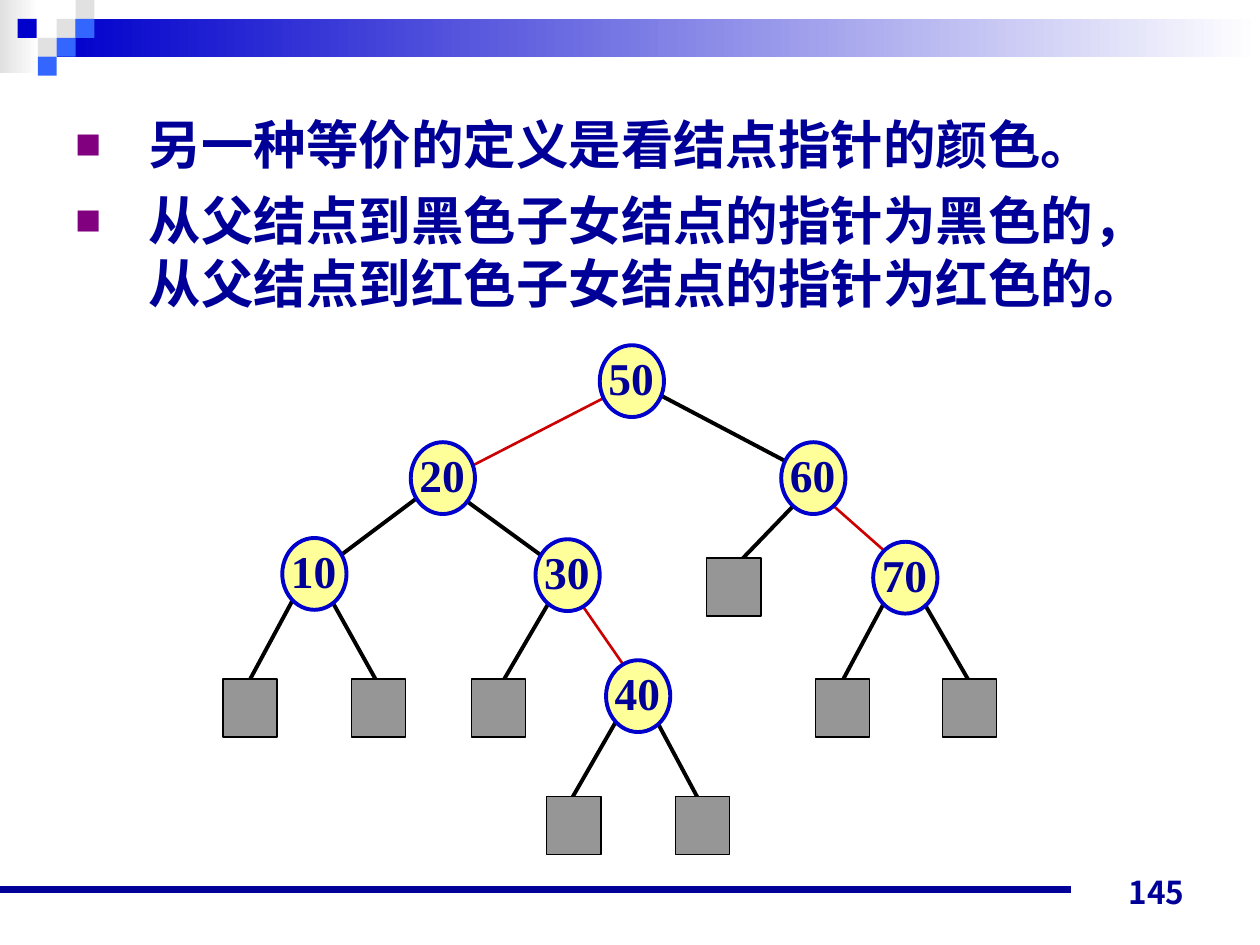
from dataclasses import dataclass

from lxml.etree import SubElement
from pptx import Presentation
from pptx.dml.color import RGBColor as Color
from pptx.enum.shapes import MSO_CONNECTOR as Connector, MSO_SHAPE as Shape
from pptx.enum.text import MSO_ANCHOR as Anchor, MSO_AUTO_SIZE as AutoSize, PP_ALIGN as Align
from pptx.oxml.ns import qn
from pptx.util import Inches, Pt


@dataclass(frozen=True)
class Theme:
    navy: str = "000099"
    blue: str = "0000CC"
    sky: str = "3366FF"
    mist: str = "E1E1E1"
    white: str = "FFFFFF"
    purple: str = "800080"
    yellow: str = "FFFF99"
    gray: str = "969696"
    black: str = "000000"
    red: str = "CC0000"
    serif: str = "Times New Roman"
    sans: str = "Noto Sans CJK JP"
    body_size: float = 30
    node_size: float = 26
    number_size: float = 18


THEME = Theme()
COLUMNS, ROWS = 100, 75
CELL = Inches(10) / COLUMNS
TILE = 1.5
NODE = (5.1, 5.7)
LEAF = (4.3, 4.6)
LABEL = (8.6, 7.4)
LABEL_SHIFT = (-0.3, -0.1)

POINTS = [
    "另一种等价的定义是看结点指针的颜色。",
    "从父结点到黑色子女结点的指针为黑色的，从父结点到红色子女结点的指针为红色的。",
]
TILES = [
    (4.5, 1, THEME.mist), (6, 0, THEME.mist), (6, 1, THEME.sky), (3, 2, THEME.mist),
    (1.4, 1, THEME.blue), (4.5, 2, THEME.sky), (3, 3, THEME.sky),
]
NODES = {
    "50": (47.6, 27.4), "20": (32.6, 35.1), "60": (62, 35.1), "10": (22.4, 42.7),
    "30": (42.5, 42.8), "70": (69.3, 43), "40": (48.1, 52.4),
}
LEAVES = [
    (17.7, 53.9), (27.9, 53.9), (37.4, 53.9), (43.4, 63.2), (53.6, 63.2),
    (56.1, 44.3), (64.7, 53.9), (74.8, 53.9),
]
BLACK_EDGES = [
    (51.9, 31.1, 63.1, 37), (33.4, 39.3, 27, 44.1), (36.8, 39.6, 43.8, 44.7),
    (63.4, 39.7, 58, 45.3), (23.3, 47.5, 19.8, 54), (26.4, 47.8, 30.7, 55.5),
    (43.7, 47.6, 39.9, 54.1), (70.3, 47.6, 66.5, 54.7), (73.3, 47.8, 77.4, 54.9),
    (49.1, 56.9, 44.5, 64.9), (52.1, 57.2, 55.9, 64.3),
]
RED_EDGES = [(47.9, 31.6, 37.4, 37), (66.2, 40.2, 71.3, 44.7), (45.9, 47.6, 50.2, 53.8)]


def cells(*counts):
    return [round(count * CELL) for count in counts]


def add_figure(shapes, kind, place, fill, line=None, width=0.75):
    figure = shapes.add_shape(kind, *cells(*place))
    figure.shadow.inherit = False
    figure.fill.solid()
    figure.fill.fore_color.rgb = Color.from_string(fill)
    if line:
        figure.line.color.rgb = Color.from_string(line)
        figure.line.width = Pt(width)
    else:
        figure.line.fill.background()
    return figure


def add_fade(shapes, place, start):
    band = add_figure(shapes, Shape.RECTANGLE, place, start)
    band.fill.gradient()
    band.fill.gradient_angle = 0
    for stop, color, position in zip(band.fill.gradient_stops, (start, THEME.white), (0, 1)):
        stop.color.rgb = Color.from_string(color)
        stop.position = position


def add_line(shapes, ends, color, width):
    line = shapes.add_connector(Connector.STRAIGHT, *cells(*ends))
    line.line.color.rgb = Color.from_string(color)
    line.line.width = Pt(width)
    SubElement(line._element.spPr, qn("a:effectLst"))


def add_span(para, text, size, face):
    span = para.add_run()
    span.text = text
    span.font.size = Pt(size)
    span.font.name = face
    span.font.bold = True
    span.font.color.rgb = Color.from_string(THEME.navy)


def add_text(shapes, place, text, size, face, align, anchor=Anchor.TOP):
    box = shapes.add_textbox(*cells(*place))
    box.text_frame.word_wrap = True
    box.text_frame.vertical_anchor = anchor
    para = box.text_frame.paragraphs[0]
    para.alignment = align
    add_span(para, text, size, face)


def add_bullet(para):
    props = para._p.get_or_add_pPr()
    props.set("marL", str(Inches(0.58)))
    props.set("indent", str(-Inches(0.58)))
    SubElement(SubElement(props, qn("a:buClr")), qn("a:srgbClr"), val=THEME.purple)
    SubElement(props, qn("a:buSzPct"), val="50000")
    SubElement(props, qn("a:buFont"), typeface=THEME.sans)
    SubElement(props, qn("a:buChar"), char="■")


def fill_body(body):
    body.left, body.top, body.width, body.height = cells(5, 8.4, 90, 19.3)
    frame = body.text_frame
    frame.auto_size = AutoSize.NONE
    for index, point in enumerate(POINTS):
        para = frame.add_paragraph() if index else frame.paragraphs[0]
        add_bullet(para)
        para.space_before = Pt(7.5 if index else 0)
        add_span(para, point, THEME.body_size, THEME.serif)


def add_banner(page):
    shapes = page.shapes.add_group_shape().shapes
    add_fade(shapes, (0, 0, 3.1, 5.8), THEME.mist)
    add_fade(shapes, (4.5, TILE, 95.5, 2 * TILE), THEME.blue)
    for left, row, color in TILES:
        add_figure(shapes, Shape.RECTANGLE, (left, row * TILE, TILE, TILE), color)


def add_footer(page):
    add_line(page.shapes, (0, 70.6, 85, 70.6), THEME.navy, 4.5)
    add_text(page.shapes, (71.7, 67.8, 23.3, 5), "145", THEME.number_size, THEME.sans,
             Align.RIGHT, Anchor.BOTTOM)


def add_tree(page):
    shapes = page.shapes.add_group_shape().shapes
    for edges, color, width in ((BLACK_EDGES, THEME.black, 2.25), (RED_EDGES, THEME.red, 1.5)):
        for ends in edges:
            add_line(shapes, ends, color, width)
    for corner in LEAVES:
        add_figure(shapes, Shape.RECTANGLE, corner + LEAF, THEME.gray, THEME.black)
    for key, (left, top) in NODES.items():
        add_figure(shapes, Shape.OVAL, (left, top) + NODE, THEME.yellow, THEME.blue, 2.25)
        corner = (left + LABEL_SHIFT[0], top + LABEL_SHIFT[1])
        add_text(shapes, corner + LABEL, key, THEME.node_size, THEME.serif, Align.JUSTIFY)


def main():
    deck = Presentation()
    deck.slide_width, deck.slide_height = cells(COLUMNS, ROWS)
    page = deck.slides.add_slide(deck.slide_layouts[1])
    title, body = page.placeholders
    title._element.getparent().remove(title._element)
    add_banner(page)
    add_footer(page)
    fill_body(body)
    add_tree(page)
    deck.save("out.pptx")


if __name__ == "__main__":
    main()
